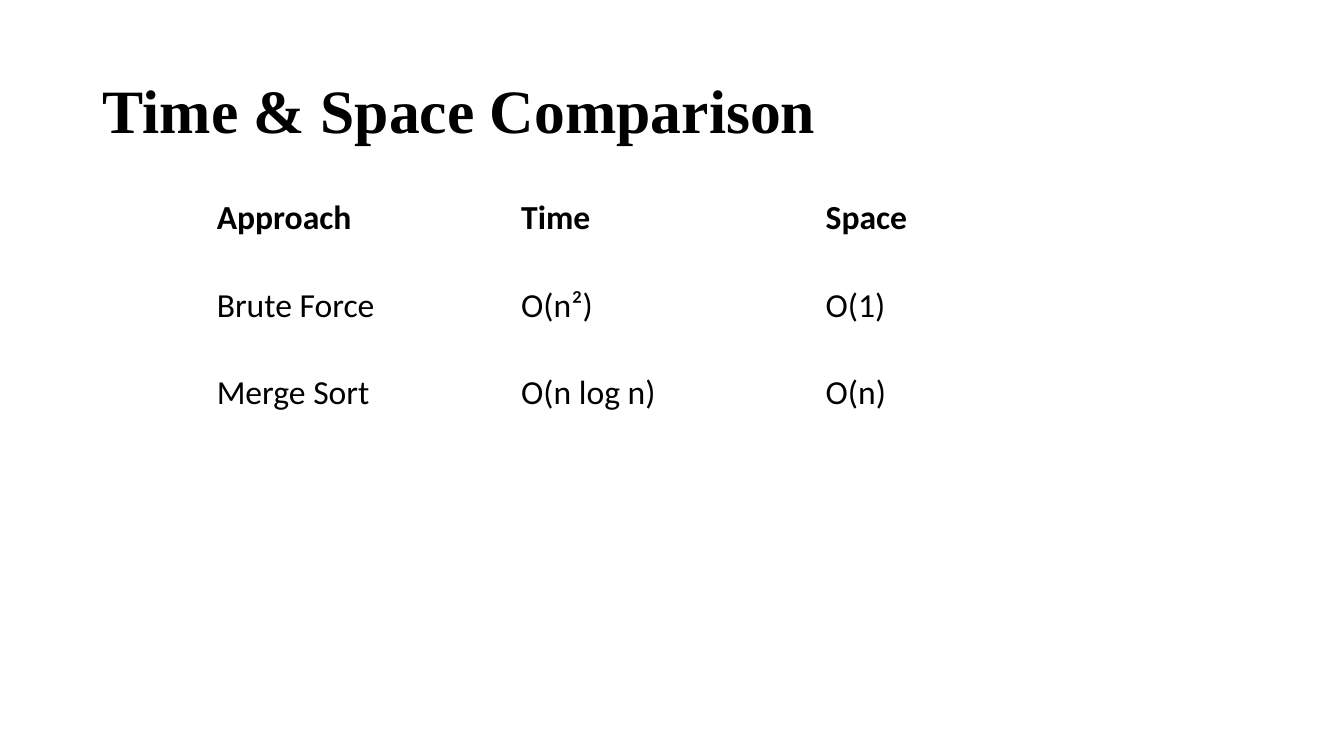
from pptx import Presentation
from pptx.dml.color import RGBColor
from pptx.enum.text import MSO_ANCHOR, PP_ALIGN
from pptx.util import Inches, Pt

BLACK = RGBColor(0x00, 0x00, 0x00)
MIDDLE = MSO_ANCHOR.MIDDLE
LEFT = PP_ALIGN.LEFT
TITLE_ONLY = 5

COMPARISON = [
    ["Approach", "Time", "Space"],
    ["Brute Force", "O(n²)", "O(1)"],
    ["Merge Sort", "O(n log n)", "O(n)"],
]


class SlideBuilder:
    """Holds the text style and the slide being built."""

    title_font = "Times New Roman"
    body_font = "Calibri"
    title_size = Pt(44)
    body_size = Pt(24)

    def __init__(self, presentation):
        layout = presentation.slide_layouts[TITLE_ONLY]
        self.slide = presentation.slides.add_slide(layout)

    def format_text(self, text_frame, name, size, bold):
        for paragraph in text_frame.paragraphs:
            paragraph.alignment = LEFT
            for run in paragraph.runs:
                run.font.name = name
                run.font.size = size
                run.font.bold = bold
                run.font.color.rgb = BLACK

    def add_title(self, text, left, top, width, height):
        title = self.slide.shapes.title
        title.left, title.top = Inches(left), Inches(top)
        title.width, title.height = Inches(width), Inches(height)
        text_frame = title.text_frame
        text_frame.text = text
        text_frame.vertical_anchor = MIDDLE
        text_frame.paragraphs[0].line_spacing = 0.9
        self.format_text(text_frame, self.title_font, self.title_size, True)

    def add_table(self, rows, left, top, column_width, row_height):
        """Add an unfilled table whose first row is a bold header."""
        row_count, column_count = len(rows), len(rows[0])
        table = self.slide.shapes.add_table(
            row_count, column_count, Inches(left), Inches(top),
            Inches(column_width * column_count), Inches(row_height * row_count),
        ).table
        table.horz_banding = False
        for row_index, row in enumerate(rows):
            for column_index, text in enumerate(row):
                cell = table.cell(row_index, column_index)
                cell.fill.background()
                cell.vertical_anchor = MIDDLE
                cell.text_frame.text = text
                self.format_text(cell.text_frame, self.body_font,
                                 self.body_size, row_index == 0)


def main():
    presentation = Presentation()
    presentation.slide_width = Inches(13.33)
    presentation.slide_height = Inches(7.5)
    builder = SlideBuilder(presentation)
    builder.add_title("Time & Space Comparison", 0.92, 0.4, 11.5, 1.45)
    builder.add_table(COMPARISON, 2.05, 1.73, column_width=3.02, row_height=0.87)
    presentation.save("out.pptx")


if __name__ == "__main__":
    main()
